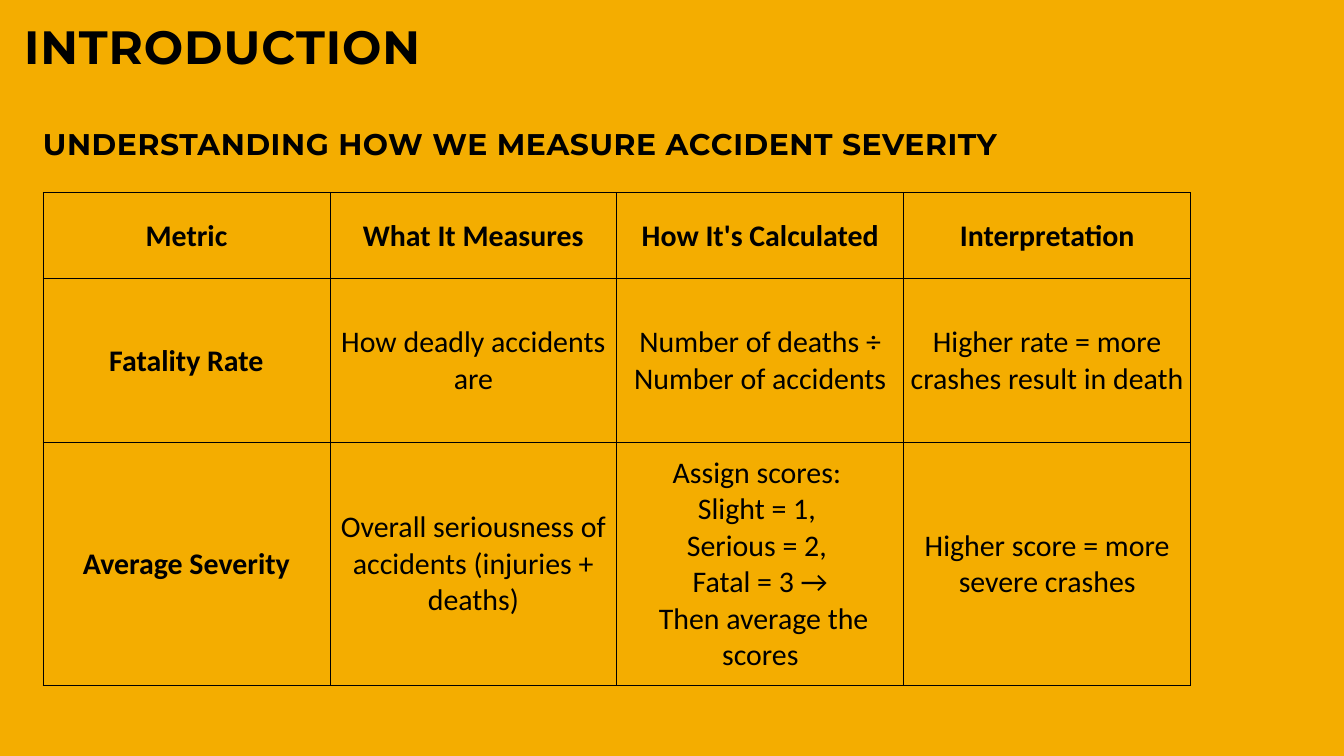
from dataclasses import dataclass

from lxml import etree
from pptx import Presentation
from pptx.dml.color import RGBColor
from pptx.enum.text import MSO_ANCHOR, MSO_AUTO_SIZE, PP_ALIGN
from pptx.oxml.ns import qn
from pptx.util import Inches, Pt

LEFT, CENTER = PP_ALIGN.LEFT, PP_ALIGN.CENTER
TOP, MIDDLE = MSO_ANCHOR.TOP, MSO_ANCHOR.MIDDLE
GROW = MSO_AUTO_SIZE.SHAPE_TO_FIT_TEXT
TITLE_ONLY = 5

WIDTH, HEIGHT = 20, 11.25
MARGIN = 0.64 / WIDTH  # left edge shared by the subtitle and the table


@dataclass(frozen=True)
class Theme:
    background: str = "F4AD00"
    ink: str = "000000"
    heading_font: str = "Montserrat"
    body_font: str = "Calibri"
    title_size: int = 50
    body_size: int = 32
    border: int = 1


class SlideBuilder:
    """Places elements on one slide; lengths are shares of its size."""

    def __init__(self, deck, theme):
        self.deck, self.theme = deck, theme
        self.slide = deck.slides.add_slide(deck.slide_layouts[TITLE_ONLY])
        fill = self.slide.background.fill
        fill.solid()
        fill.fore_color.rgb = RGBColor.from_string(theme.background)

    def frame(self, left, top, width, height):
        across, down = self.deck.slide_width, self.deck.slide_height
        return [round(share * size) for share, size in
                zip((left, top, width, height), (across, down, across, down))]

    def style(self, paragraph, font_name, size, bold, align):
        paragraph.alignment = align
        font = paragraph.font
        font.name, font.size, font.bold = font_name, Pt(size), bold
        font.color.rgb = RGBColor.from_string(self.theme.ink)

    def heading(self, shape, wording, size, leading, tracking):
        text = shape.text_frame
        text.text = wording
        text.word_wrap = True
        text.auto_size = GROW
        text.vertical_anchor = TOP
        text.margin_left = text.margin_right = 0
        text.margin_top = text.margin_bottom = 0
        line = text.paragraphs[0]
        line.line_spacing = Pt(leading)
        self.style(line, self.theme.heading_font, size, True, LEFT)
        line.runs[0]._r.get_or_add_rPr().set("spc", str(round(tracking * 100)))

    def title(self, wording, *place):
        shape = self.slide.shapes.title
        shape.left, shape.top, shape.width, shape.height = self.frame(*place)
        self.heading(shape, wording, self.theme.title_size, 50, 1)

    def subtitle(self, wording, *place):
        shape = self.slide.shapes.add_textbox(*self.frame(*place))
        self.heading(shape, wording, self.theme.body_size, 35.2, 0.6)

    def outline(self, cell):
        properties = cell._tc.get_or_add_tcPr()
        for side in ("lnL", "lnR", "lnT", "lnB"):
            line = etree.SubElement(properties, qn(f"a:{side}"),
                                    w=str(Pt(self.theme.border)))
            solid = etree.SubElement(line, qn("a:solidFill"))
            etree.SubElement(solid, qn("a:srgbClr"), val=self.theme.ink)

    def table(self, rows, row_shares, left, top, width):
        """Equal columns; the first row and first column are bold."""
        place = self.frame(left, top, width, sum(row_shares))
        table = self.slide.shapes.add_table(len(rows), len(rows[0]), *place).table
        table.first_row = table.horz_banding = False
        for row, share in zip(table.rows, row_shares):
            row.height = round(share * self.deck.slide_height)
        for r, row in enumerate(rows):
            for c, wording in enumerate(row):
                cell = table.cell(r, c)
                cell.text = wording
                cell.vertical_anchor = MIDDLE
                self.outline(cell)
                cell.fill.background()
                for paragraph in cell.text_frame.paragraphs:
                    self.style(paragraph, self.theme.body_font,
                               self.theme.body_size, r == 0 or c == 0, CENTER)


METRICS = [
    ("Metric", "What It Measures", "How It's Calculated", "Interpretation"),
    ("Fatality Rate", "How deadly accidents are",
     "Number of deaths ÷ Number of accidents",
     "Higher rate = more crashes result in death"),
    ("Average Severity", "Overall seriousness of accidents (injuries + deaths)",
     "Assign scores: \nSlight = 1, \nSerious = 2, \nFatal = 3 →\n"
     " Then average the scores",
     "Higher score = more severe crashes"),
]


def main():
    deck = Presentation()
    deck.slide_width, deck.slide_height = Inches(WIDTH), Inches(HEIGHT)
    page = SlideBuilder(deck, Theme())
    page.title("INTRODUCTION",
               0.36 / WIDTH, 0.41 / HEIGHT, 8.61 / WIDTH, 0.75 / HEIGHT)
    page.subtitle("UNDERSTANDING HOW WE MEASURE ACCIDENT SEVERITY",
                  MARGIN, 1.92 / HEIGHT, 18.24 / WIDTH, 0.49 / HEIGHT)
    row_shares = [height / HEIGHT for height in (1.28, 2.44, 3.61)]
    page.table(METRICS, row_shares, MARGIN, 2.87 / HEIGHT, 17.08 / WIDTH)
    deck.save("out.pptx")


if __name__ == "__main__":
    main()
